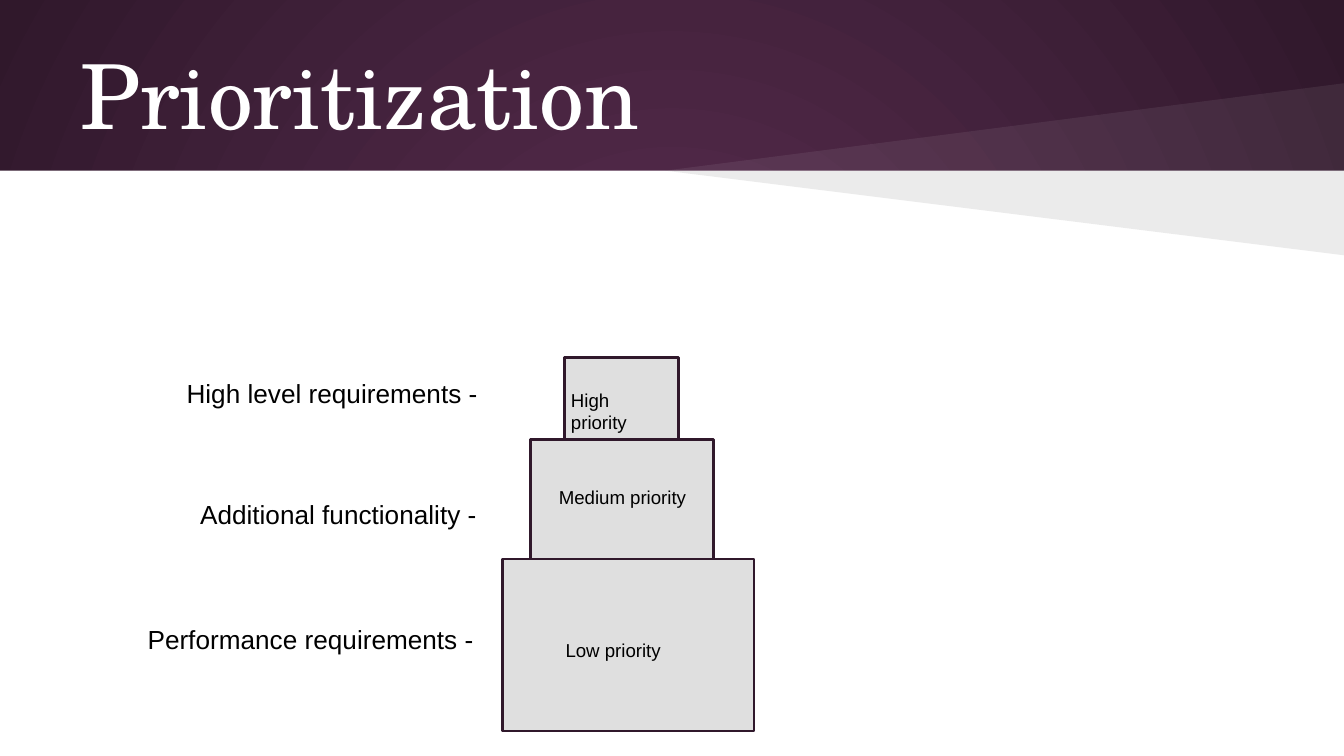
import pptx
import pptx.util
import pptx.dml.color
import pptx.enum.shapes
import pptx.enum.text
import pptx.oxml.ns
import lxml.etree

WIDTH, HEIGHT = pptx.util.Inches(10), pptx.util.Inches(5.625)
COLORS = {
    "plum": "592D50",
    "dark": "30182B",
    "white": "FFFFFF",
    "black": "000000",
    "tier": "DFDFDF",
}
BODY_FONT, TITLE_FONT = "Arial", "TeX Gyre Schola"

# All positions and sizes are percentages of the slide's width or height.
BAND_BOTTOM = 22.58
WEDGE_TIP = 49.5
TIERS_TOP = 47.29
TIERS = [(42, 8.5, 10.84), (39.5, 13.6, 15.82), (37.4, 18.7, 22.76)]
TIER_NAMES = [
    ("High priority", (41.5, 49.6, 9.2, 7.47)),
    ("Medium priority", (40.6, 62.76, 15.5, 6.58)),
    ("Low priority", (41.1, 83.02, 12.8, 7.47)),
]
REQUIREMENTS = [
    ("High level requirements -", (12.9, 48.18, 26.6, 6.58)),
    ("Additional functionality -", (13.9, 64.18, 23.5, 6.58)),
    ("Performance requirements -", (10, 80.71, 29.3, 8.89)),
]


def rgb(name):
    return pptx.dml.color.RGBColor.from_string(COLORS[name])


def across(share):
    return round(WIDTH * share / 100)


def down(share):
    return round(HEIGHT * share / 100)


def scale(box):
    left, top, width, height = box
    return across(left), down(top), across(width), down(height)


def set_background(s):
    """Fill the slide with a gradient that darkens outwards from its centre."""
    fill = s.background.fill
    fill.gradient()
    for stop, name in zip(fill.gradient_stops, ("plum", "dark")):
        stop.color.rgb = rgb(name)
    qn = pptx.oxml.ns.qn
    lin = s.background._cSld.find(".//" + qn("a:lin"))
    grad = lin.getparent()
    for i, gs in enumerate(grad.iter(qn("a:gs"))):
        gs.set("pos", str(i * 100000))
    circle = lxml.etree.Element(qn("a:path"), {"path": "circle"})
    sides = {side: "50000" for side in "ltrb"}
    lxml.etree.SubElement(circle, qn("a:fillToRect"), sides)
    grad.replace(lin, circle)


def add_block(s, box, fill, line=None):
    sp = s.shapes.add_shape(pptx.enum.shapes.MSO_SHAPE.RECTANGLE, *scale(box))
    sp.shadow.inherit = False
    sp.fill.solid()
    sp.fill.fore_color.rgb = rgb(fill)
    if line:
        sp.line.color.rgb = rgb(line)
        sp.line.width = pptx.util.Pt(1.5)
    else:
        sp.line.fill.background()


def add_wedge(s, edge, fill, opacity):
    """Draw a translucent triangle from the band's lower edge to the right side."""
    builder = s.shapes.build_freeform(across(WEDGE_TIP), down(BAND_BOTTOM))
    builder.add_line_segments(
        [(across(100), down(BAND_BOTTOM)), (across(100), down(edge))])
    sp = builder.convert_to_shape()
    sp.shadow.inherit = False
    sp.line.fill.background()
    sp.fill.solid()
    sp.fill.fore_color.rgb = rgb(fill)
    qn = pptx.oxml.ns.qn
    color = sp.fill._xPr.find(qn("a:solidFill")).find(qn("a:srgbClr"))
    lxml.etree.SubElement(color, qn("a:alpha"), val=str(opacity * 1000))


def add_text(s, text, box, size, font=BODY_FONT, color="black",
             anchor=pptx.enum.text.MSO_ANCHOR.TOP):
    tf = s.shapes.add_textbox(*scale(box)).text_frame
    tf.word_wrap = True
    tf.vertical_anchor = anchor
    tf.margin_left = tf.margin_right = pptx.util.Inches(0.1)
    tf.margin_top = tf.margin_bottom = pptx.util.Inches(0.1)
    tf.text = text
    r = tf.paragraphs[0].runs[0]
    r.font.size = pptx.util.Pt(size)
    r.font.name = font
    r.font.color.rgb = rgb(color)


def add_tiers(s):
    top = TIERS_TOP
    for left, width, height in TIERS:
        add_block(s, (left, top, width, height), "tier", "dark")
        top += height


def main():
    prs = pptx.Presentation()
    prs.slide_width, prs.slide_height = WIDTH, HEIGHT
    s = prs.slides.add_slide(prs.slide_layouts[6])

    set_background(s)
    add_block(s, (0, BAND_BOTTOM, 100, 100 - BAND_BOTTOM), "white")
    add_wedge(s, 11.02, "white", 7)
    add_wedge(s, 33.78, "black", 8)
    add_text(s, "Prioritization", (5, 4.09, 90, 16.71), 48, TITLE_FONT,
             "white", pptx.enum.text.MSO_ANCHOR.MIDDLE)

    add_tiers(s)
    for text, box in TIER_NAMES:
        add_text(s, text, box, 10)
    for text, box in REQUIREMENTS:
        add_text(s, text, box, 14)

    prs.save("out.pptx")


if __name__ == "__main__":
    main()
